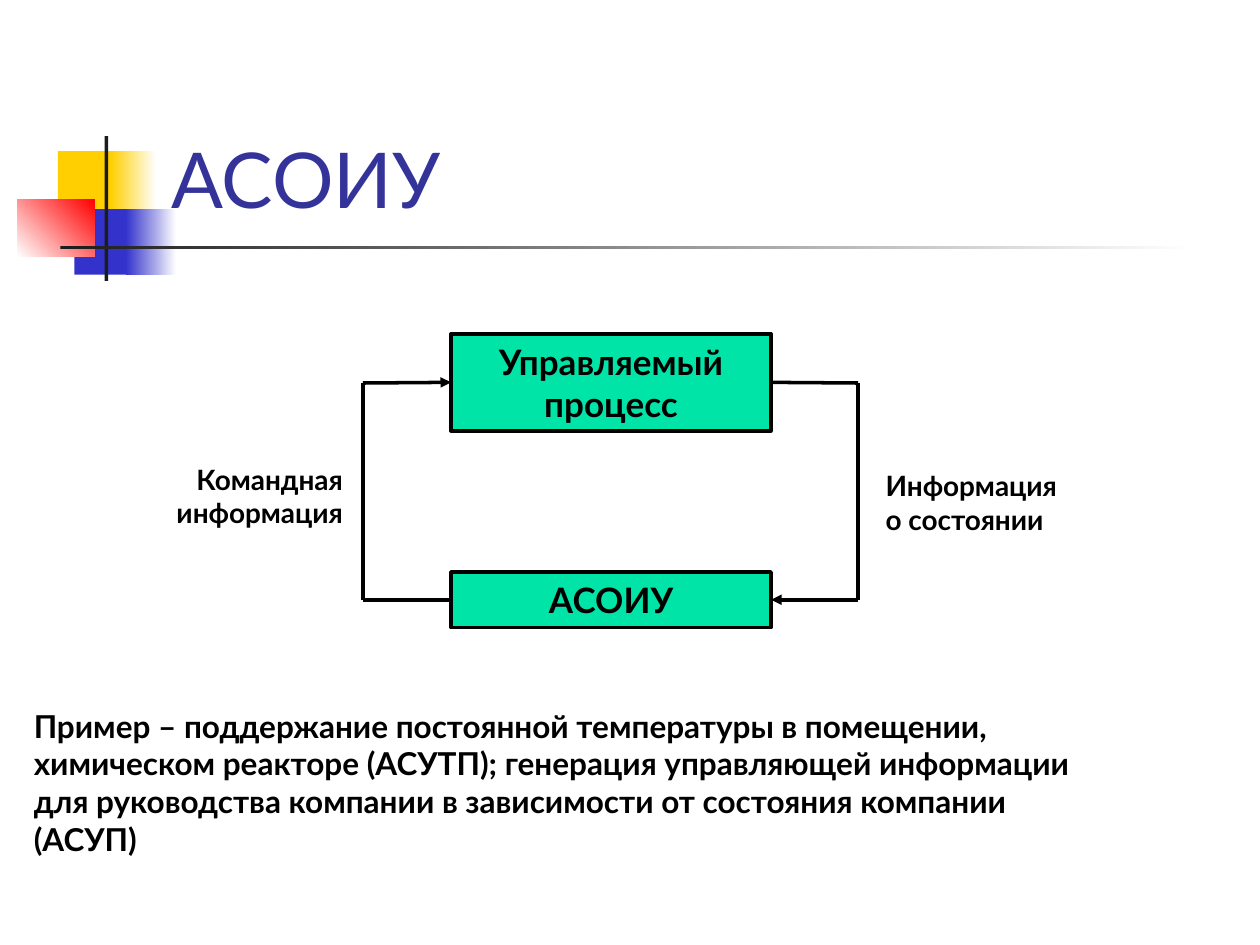
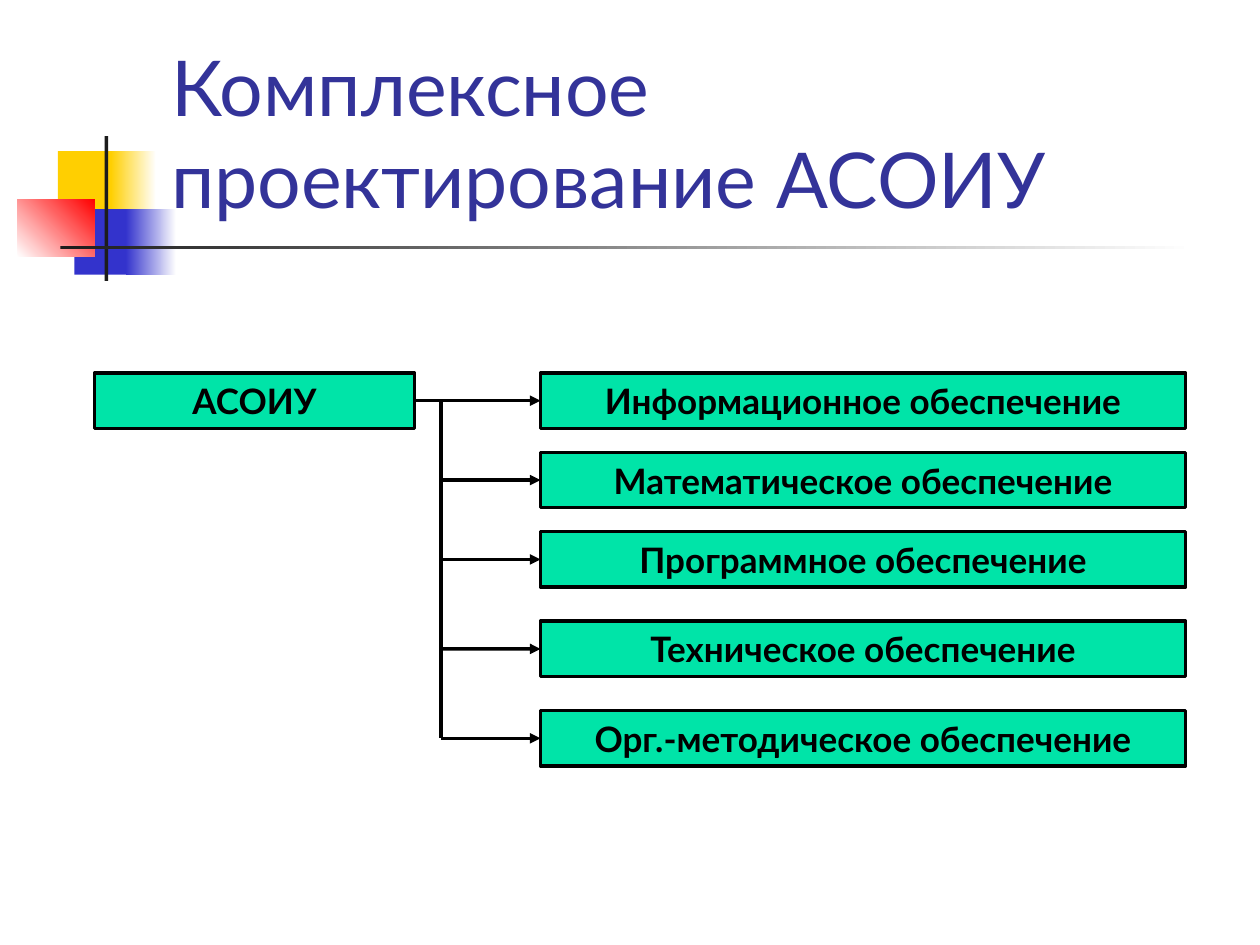
from itertools import accumulate

from lxml import etree
from pptx import Presentation
from pptx.dml.color import RGBColor
from pptx.enum import shapes, text
from pptx.oxml.ns import qn
from pptx.util import Inches, Pt

FONT = "Lato"
COLORS = {
    "yellow": "FFCF01",
    "blue": "3333CC",
    "red": "FF0000",
    "dark": "1C1C1C",
    "white": "FFFFFF",
    "title": "333399",
    "box": "00E4A8",
    "black": "000000",
}
DECORATION = [
    (0.46, 1.2, 0.48, 0.52, ["yellow"], 0),
    (0.88, 1.2, 0.36, 0.52, ["yellow", "white"], 0),
    (0.59, 1.66, 0.46, 0.52, ["blue"], 0),
    (1, 1.66, 0.4, 0.52, ["blue", "white"], 0),
    (0.14, 1.58, 0.61, 0.46, ["white", "red"], 45),
    (0.83, 1.08, 0.03, 1.15, ["dark"], 0),
    (0.48, 1.95, 9, 0.03, ["dark", "white"], 0),
]
LEFT, RIGHT = 1, 3
BOX_HEIGHT = 0.44


def color(name):
    return RGBColor.from_string(COLORS[name])


def write(shape, content, size, font_color="black", bold=True, align="LEFT", anchor="TOP"):
    frame = shape.text_frame
    frame.word_wrap = True
    frame.vertical_anchor = getattr(text.MSO_ANCHOR, anchor)
    frame.text = content
    for paragraph in frame.paragraphs:
        paragraph.alignment = getattr(text.PP_ALIGN, align)
        for run in paragraph.runs:
            run.font.name = FONT
            run.font.size = Pt(size)
            run.font.bold = bold
            run.font.color.rgb = color(font_color)


def add_text(slide, left, top, width, height, content, size, **style):
    shape = slide.shapes.add_textbox(*map(Inches, (left, top, width, height)))
    write(shape, content, size, **style)


def add_rectangle(slide, left, top, width, height, fills, angle=0):
    shape = slide.shapes.add_shape(
        shapes.MSO_SHAPE.RECTANGLE, *map(Inches, (left, top, width, height)))
    shape.shadow.inherit = False
    shape.line.fill.background()
    if len(fills) == 1:
        shape.fill.solid()
        shape.fill.fore_color.rgb = color(fills[0])
    else:
        shape.fill.gradient()
        shape.fill.gradient_angle = angle
        for stop, name in zip(shape.fill.gradient_stops, fills):
            stop.color.rgb = color(name)
    return shape


def add_box(slide, left, top, width, height, label):
    box = add_rectangle(slide, left, top, width, height, ["box"])
    box.line.color.rgb = color("black")
    box.line.width = Pt(2)
    write(box, label, 20, align="CENTER", anchor="MIDDLE")
    return box


def add_line(slide, start, end, source=None, target=None, arrow=False):
    line = slide.shapes.add_connector(
        shapes.MSO_CONNECTOR.STRAIGHT, *map(Inches, (*start, *end)))
    if source:
        line.begin_connect(*source)
    if target:
        line.end_connect(*target)
    line.line.color.rgb = color("black")
    line.line.width = Pt(2)
    if arrow:
        etree.SubElement(line.line._get_or_add_ln(), qn("a:tailEnd"), type="triangle")
    etree.SubElement(line._element.spPr, qn("a:effectLst"))


def add_slide(presentation, title):
    slide = presentation.slides.add_slide(presentation.slide_layouts[6])
    for left, top, width, height, fills, angle in DECORATION:
        add_rectangle(slide, left, top, width, height, fills, angle)
    add_text(slide, 1.26, 0.23, 8.52, 1.6, title, 44,
             font_color="title", bold=False, anchor="BOTTOM")
    return slide


def add_link(slide, source, target, side, source_edge, target_edge, rail):
    source_y, target_y = source_edge[1], target_edge[1]
    add_line(slide, source_edge, (rail, source_y), source=(source, side))
    add_line(slide, (rail, source_y), (rail, target_y))
    add_line(slide, (rail, target_y), target_edge, target=(target, side), arrow=True)


def build_control_loop(presentation):
    slide = add_slide(presentation, "АСОИУ")
    left, width = 3.58, 2.54
    right = left + width
    process_y, system_y = 3.04, 4.76
    process = add_box(slide, left, 2.65, width, 0.77, "Управляемый процесс")
    system = add_box(slide, left, 4.54, width, BOX_HEIGHT, "АСОИУ")
    add_link(slide, system, process, LEFT, (left, system_y), (left, process_y), 2.88)
    add_link(slide, process, system, RIGHT, (right, process_y), (right, system_y), 6.81)
    add_text(slide, 1.09, 3.62, 1.73, 0.64, "Командная\nинформация", 16, align="RIGHT")
    add_text(slide, 6.93, 3.67, 1.75, 0.64, "Информация\nо состоянии", 16)
    example = "\n".join([
        "Пример – поддержание постоянной температуры в помещении,",
        "химическом реакторе (АСУТП); генерация управляющей информации",
        "для руководства компании в зависимости от состояния компании",
        "(АСУП)",
    ])
    add_text(slide, 0.17, 5.56, 9.5, 1.3, example, 18)


def build_support_tree(presentation):
    slide = add_slide(presentation, "Комплексное проектирование АСОИУ")
    root_left, root_width, branch_left, trunk = 0.75, 2.54, 4.29, 3.5
    kinds = ["Информационное", "Математическое", "Программное",
             "Техническое", "Орг.-методическое"]
    tops = list(accumulate([2.96, 0.63, 0.63, 0.71, 0.71]))
    middles = [top + BOX_HEIGHT / 2 for top in tops]
    root = add_box(slide, root_left, tops[0], root_width, BOX_HEIGHT, "АСОИУ")
    add_line(slide, (trunk, middles[0]), (trunk, middles[-1]))
    for index, (kind, top, middle) in enumerate(zip(kinds, tops, middles)):
        branch = add_box(slide, branch_left, top, 5.12, BOX_HEIGHT, f"{kind} обеспечение")
        source = None if index else (root, RIGHT)
        start = trunk if index else root_left + root_width
        add_line(slide, (start, middle), (branch_left, middle),
                 source=source, target=(branch, LEFT), arrow=True)


def main():
    presentation = Presentation()
    presentation.slide_width = Inches(10)
    presentation.slide_height = Inches(7.5)
    build_control_loop(presentation)
    build_support_tree(presentation)
    presentation.save("out.pptx")


if __name__ == "__main__":
    main()
